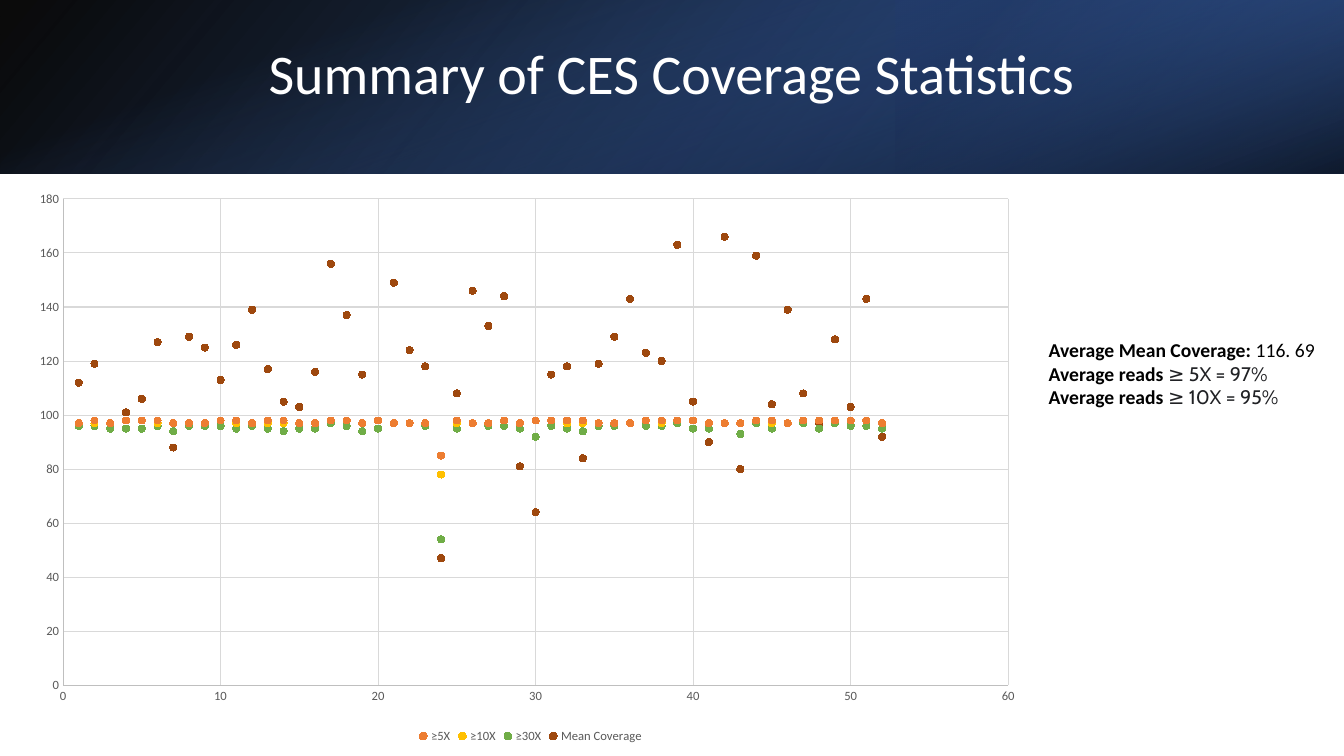
from dataclasses import dataclass

from lxml import etree
from pptx import Presentation
from pptx import util as u
from pptx.chart.data import XyChartData
from pptx.dml.color import RGBColor
from pptx.enum import chart as ch, shapes, text
from pptx.oxml.ns import qn


@dataclass(frozen=True)
class Theme:
    body_font: str = "Calibri"
    figure_font: str = "Cabin"
    title_size: float = 40
    note_size: float = 14
    chart_size: float = 9
    white: str = "FFFFFF"
    black: str = "000000"
    figure: str = "202124"
    label: str = "595959"
    axis: str = "BFBFBF"
    grid: str = "D9D9D9"
    blue: str = "4472C4"
    mid_blue: str = "2F5597"
    dark_blue: str = "203864"
    reads_5x: str = "ED7D31"
    reads_10x: str = "FFC000"
    reads_30x: str = "70AD47"
    mean: str = "9E480E"


THEME = Theme()
WIDTH, HEIGHT, BANNER = 960, 540, 124

COVERAGE = (
    ("≥5X", THEME.reads_5x, (
        97, 98, 97, 98, 98, 98, 97, 97, 97, 98, 98, 97, 98, 98, 97, 97, 98, 98,
        97, 98, 97, 97, 97, 85, 98, 97, 97, 98, 97, 98, 98, 98, 98, 97, 97, 97,
        98, 98, 98, 98, 97, 97, 97, 98, 98, 97, 98, 98, 98, 98, 98, 97)),
    ("≥10X", THEME.reads_10x, (
        97, 97, 97, 98, 98, 97, 97, 97, 97, 98, 97, 97, 97, 97, 97, 97, 98, 98,
        97, 98, 97, 97, 97, 78, 97, 97, 97, 98, 97, 98, 98, 97, 97, 97, 97, 97,
        98, 97, 98, 98, 97, 97, 97, 98, 97, 97, 98, 98, 98, 98, 98, 97)),
    ("≥30X", THEME.reads_30x, (
        96, 96, 95, 95, 95, 96, 94, 96, 96, 96, 95, 96, 95, 94, 95, 95, 97, 96,
        94, 95, 97, 97, 96, 54, 95, 97, 96, 96, 95, 92, 96, 95, 94, 96, 96, 97,
        96, 96, 97, 95, 95, 97, 93, 97, 95, 97, 97, 95, 97, 96, 96, 95)),
    ("Mean Coverage", THEME.mean, (
        112, 119, 97, 101, 106, 127, 88, 129, 125, 113, 126, 139, 117, 105,
        103, 116, 156, 137, 115, 95, 149, 124, 118, 47, 108, 146, 133, 144, 81,
        64, 115, 118, 84, 119, 129, 143, 123, 120, 163, 105, 90, 166, 80, 159,
        104, 139, 108, 97, 128, 103, 143, 92)),
)


def rgb(color):
    return RGBColor.from_string(color)


def style_font(font, size, color, name=THEME.body_font, bold=False):
    font.name, font.size, font.bold = name, u.Pt(size), bold
    font.color.rgb = rgb(color)


def add_text(paragraph, words, **font_format):
    run = paragraph.add_run()
    run.text = words
    style_font(run.font, **font_format)


def set_plot_area(chart, **fractions):
    """Fix the inner plot area as fractions of the chart frame."""
    plot_area = chart.plots[0]._element.getparent()
    for old in plot_area.findall(qn("c:layout")):
        plot_area.remove(old)
    layout = etree.Element(qn("c:layout"))
    plot_area.insert(0, layout)
    manual = etree.SubElement(layout, qn("c:manualLayout"))
    settings = {"layoutTarget": "inner", "xMode": "edge", "yMode": "edge", **fractions}
    for tag, value in settings.items():
        etree.SubElement(manual, qn(f"c:{tag}")).set("val", str(value))


class CoverageSlide:
    def __init__(self, presentation, theme):
        self.theme = theme
        self.slide = presentation.slides.add_slide(presentation.slide_layouts[6])

    def gradient(self, left, top, width, height, stops, angle, rotation=0, flip=False):
        """Stops are (position %, colour, opacity %); angle runs clockwise."""
        panel = self.slide.shapes.add_shape(
            shapes.MSO_SHAPE.RECTANGLE, *map(u.Pt, (left, top, width, height)))
        panel.shadow.inherit = False
        panel.line.fill.background()
        panel.rotation = rotation
        if flip:
            panel._element.spPr.find(qn("a:xfrm")).set("flipH", "1")
        panel.fill.gradient()
        panel.fill.gradient_angle = 360 - angle
        for stop, (position, color, opacity) in zip(panel.fill.gradient_stops, stops):
            stop.position = position / 100
            stop.color.rgb = rgb(color)
            tint = stop._gs.find(qn("a:srgbClr"))
            etree.SubElement(tint, qn("a:alpha")).set("val", str(opacity * 1000))

    def text_box(self, left, top, width, height, lines, anchor=text.MSO_ANCHOR.TOP,
                 align=text.PP_ALIGN.LEFT, spacing=1.0):
        """Each line is a list of (words, font format) pairs."""
        box = self.slide.shapes.add_textbox(*map(u.Pt, (left, top, width, height)))
        frame = box.text_frame
        frame.word_wrap = True
        frame.margin_right = 0 if align == text.PP_ALIGN.LEFT else frame.margin_left
        frame.vertical_anchor = anchor
        for index, line in enumerate(lines):
            paragraph = frame.add_paragraph() if index else frame.paragraphs[0]
            paragraph.alignment, paragraph.line_spacing = align, spacing
            for words, font_format in line:
                add_text(paragraph, words, **font_format)

    def style_axis(self, axis, maximum, step):
        axis.minimum_scale, axis.maximum_scale, axis.major_unit = 0, maximum, step
        axis.major_tick_mark = axis.minor_tick_mark = ch.XL_TICK_MARK.NONE
        axis.has_major_gridlines = True
        for line, color in ((axis.format.line, self.theme.axis),
                            (axis.major_gridlines.format.line, self.theme.grid)):
            line.color.rgb, line.width = rgb(color), u.Pt(0.75)
        style_font(axis.tick_labels.font, self.theme.chart_size, self.theme.label)

    def scatter(self, left, top, width, height, coverage):
        data = XyChartData()
        for name, _, values in coverage:
            series = data.add_series(name)
            for sample, value in enumerate(values, 1):
                series.add_data_point(sample, value)
        chart = self.slide.shapes.add_chart(
            ch.XL_CHART_TYPE.XY_SCATTER,
            *map(u.Pt, (left, top, width, height)), data).chart
        style_font(chart.font, 10, self.theme.black)
        chart.has_title = False
        chart.has_legend = True
        chart.legend.position = ch.XL_LEGEND_POSITION.BOTTOM
        chart.legend.include_in_layout = False
        style_font(chart.legend.font, self.theme.chart_size, self.theme.label)
        chart.plots[0].vary_by_categories = False
        self.style_axis(chart.category_axis, 60, 10)
        self.style_axis(chart.value_axis, 180, 20)
        for series, (_, color, _) in zip(chart.plots[0].series, coverage):
            series.format.line.fill.background()
            marker = series.marker
            marker.style, marker.size = ch.XL_MARKER_STYLE.CIRCLE, 5
            marker.format.fill.solid()
            marker.format.fill.fore_color.rgb = rgb(color)
            marker.format.line.color.rgb = rgb(color)
        set_plot_area(chart, x=0.04, y=0.03, w=0.93, h=0.86)


def main():
    presentation = Presentation()
    presentation.slide_width, presentation.slide_height = u.Pt(WIDTH), u.Pt(HEIGHT)
    page = CoverageSlide(presentation, THEME)

    page.gradient(0, 0, WIDTH, BANNER,
                  [(0, THEME.black, 96), (100, THEME.mid_blue, 100)], 140, flip=True)
    page.gradient(WIDTH * 2 / 3, 0, WIDTH / 3, BANNER,
                  [(19, THEME.dark_blue, 68), (100, THEME.blue, 79)], 320,
                  rotation=180, flip=True)
    page.gradient((WIDTH - BANNER) / 2, (BANNER - WIDTH) / 2, BANNER, WIDTH,
                  [(23, THEME.blue, 0), (99, THEME.black, 74)], 340, rotation=90)

    title = dict(size=THEME.title_size, color=THEME.white)
    page.text_box(84, 20, 791, 69, [[("Summary of CES Coverage Statistics", title)]],
                  text.MSO_ANCHOR.MIDDLE, text.PP_ALIGN.CENTER, 0.9)

    page.scatter(16, 130, 726, 404, COVERAGE)

    label = dict(size=THEME.note_size, color=THEME.black, bold=True)
    mean = dict(label, bold=False)
    reads = dict(size=THEME.note_size, color=THEME.figure, name=THEME.figure_font)
    page.text_box(742, 238, 206, 92, [
        [("Average Mean Coverage: ", label), ("116. 69", mean)],
        [("Average reads ", label), ("≥ 5X = 97%", reads)],
        [("Average reads ", label), ("≥ 10X = 95%", reads)],
    ])
    presentation.save("out.pptx")


if __name__ == "__main__":
    main()
